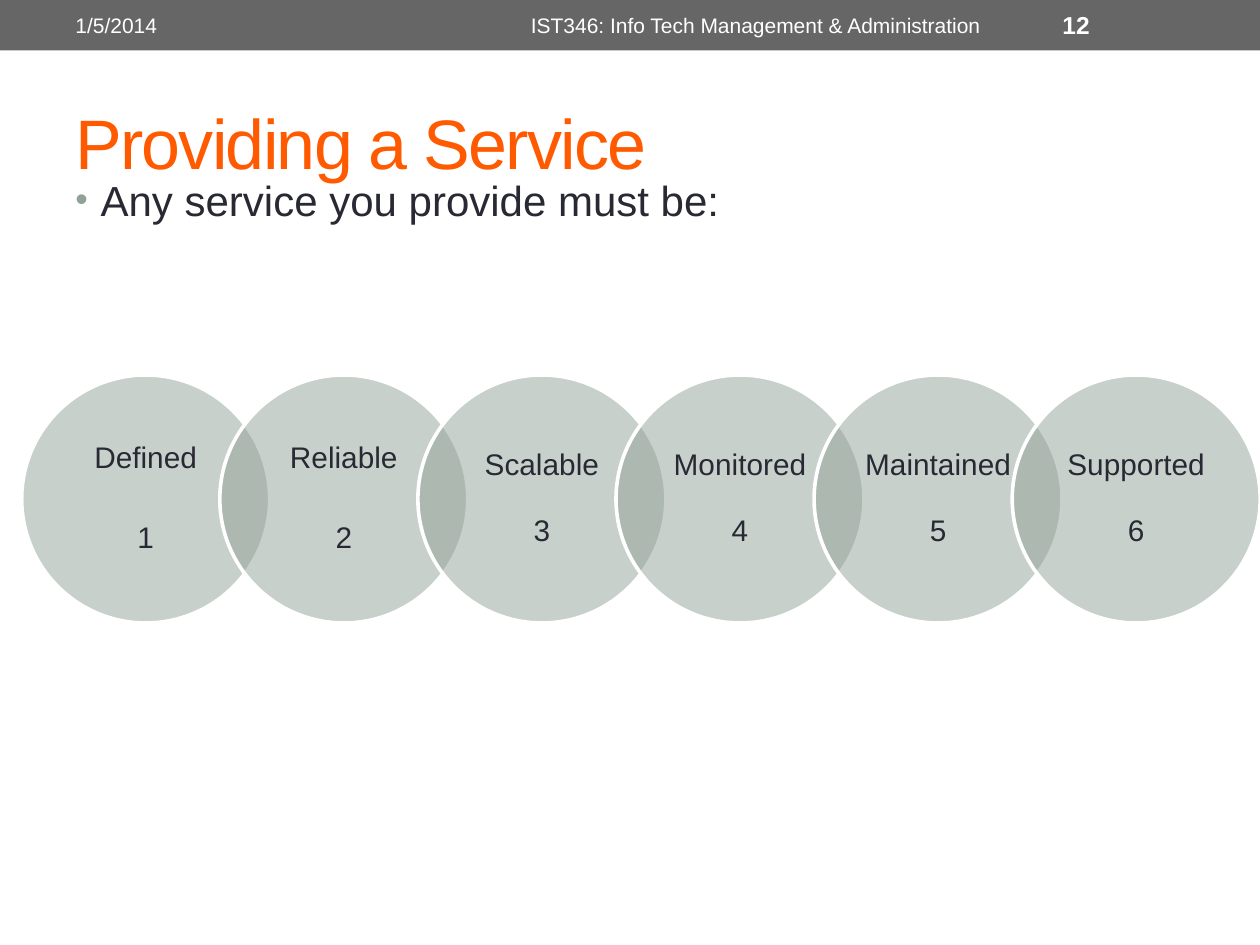
from lxml import etree
from pptx import Presentation
from pptx.dml.color import RGBColor
from pptx.enum import shapes, text
from pptx.oxml.ns import qn
from pptx.util import Pt

GREY = RGBColor(0x66, 0x66, 0x66)
ORANGE = RGBColor(0xFF, 0x5A, 0x00)
SAGE = RGBColor(0x93, 0xA2, 0x99)
DARK = RGBColor(0x29, 0x29, 0x34)
WHITE = RGBColor(0xFF, 0xFF, 0xFF)

FONT = "Arial"
CENTER = text.PP_ALIGN.CENTER
MIDDLE = text.MSO_ANCHOR.MIDDLE
TOP = text.MSO_ANCHOR.TOP

# Chain of circles: place, size, distance and inset of the label box
CHAIN_LEFT, CHAIN_TOP = 12.4, 214.3
DIAMETER, PITCH, INSET = 141.7, 113.2, 20.8
# Each quality with the space between its name and its number
QUALITIES = [("Defined", 27), ("Reliable", 27), ("Scalable", 19),
             ("Monitored", 19), ("Maintained", 19), ("Supported", 19)]


def add_run(p, content, size, color, bold=False):
    r = p.add_run()
    r.text = content
    r.font.name = FONT
    r.font.size = Pt(size)
    r.font.color.rgb = color
    r.font.bold = bold
    return r


def add_box(s, left, top, width, height, anchor=MIDDLE):
    box = s.shapes.add_textbox(Pt(left), Pt(top), Pt(width), Pt(height))
    tf = box.text_frame
    tf.word_wrap = True
    tf.vertical_anchor = anchor
    return tf


def add_shape(s, kind, left, top, width, height, color):
    sp = s.shapes.add_shape(kind, Pt(left), Pt(top), Pt(width), Pt(height))
    sp.shadow.inherit = False
    sp.fill.solid()
    sp.fill.fore_color.rgb = color
    sp.line.fill.background()
    return sp


def add_header_text(s, left, width, content, size=12, bold=False, align=None):
    p = add_box(s, left, 1.4, width, 26).paragraphs[0]
    p.alignment = align
    add_run(p, content, size, WHITE, bold)


def add_bullet(p, char, color, percent):
    pPr = p._p.get_or_add_pPr()
    pPr.set("marL", str(Pt(14.4)))
    pPr.set("indent", str(-Pt(14.4)))
    clr = etree.SubElement(pPr, qn("a:buClr"))
    etree.SubElement(clr, qn("a:srgbClr"), val=str(color))
    etree.SubElement(pPr, qn("a:buSzPct"), val=str(percent * 1000))
    etree.SubElement(pPr, qn("a:buFont"), typeface=FONT)
    etree.SubElement(pPr, qn("a:buChar"), char=char)


def add_link(s, number, name, gap):
    left = CHAIN_LEFT + (number - 1) * PITCH
    sp = add_shape(s, shapes.MSO_SHAPE.OVAL, left, CHAIN_TOP, DIAMETER, DIAMETER, SAGE)
    sp.line.color.rgb = WHITE
    sp.line.width = Pt(2.08)
    # Half-transparent fill, so that overlaps show darker
    clr = sp._element.spPr.find(qn("a:solidFill")).find(qn("a:srgbClr"))
    etree.SubElement(clr, qn("a:alpha"), val="50000")

    side = DIAMETER - 2 * INSET
    tf = add_box(s, left + INSET, CHAIN_TOP + INSET, side, side)
    tf.margin_left = tf.margin_right = Pt(7.8)
    tf.margin_top = tf.margin_bottom = Pt(1.6)
    for p, content in ((tf.paragraphs[0], name), (tf.add_paragraph(), str(number))):
        p.alignment = CENTER
        p.line_spacing = 0.9
        add_run(p, content, 17, DARK)
    tf.paragraphs[0].space_after = Pt(gap)


def main():
    prs = Presentation()
    prs.slide_width, prs.slide_height = Pt(720), Pt(540)
    s = prs.slides.add_slide(prs.slide_layouts[6])

    # Header bar
    add_shape(s, shapes.MSO_SHAPE.RECTANGLE, 0, 0, 720, 28.8, GREY)

    # Title
    p = add_box(s, 36, 42, 648, 78).paragraphs[0]
    r = add_run(p, "Providing a Service", 40, ORANGE)
    r.font._element.set("spc", "-100")

    # Lead-in
    p = add_box(s, 36, 96, 648, 48, TOP).paragraphs[0]
    p.space_before = Pt(4.8)
    add_bullet(p, "•", SAGE, 85)
    add_run(p, "Any service you provide must be:", 24, DARK)

    # Chain of qualities
    for number, (name, gap) in enumerate(QUALITIES, 1):
        add_link(s, number, name, gap)

    # Date, course and slide number
    add_header_text(s, 36, 228, "1/5/2014")
    add_header_text(s, 270, 324, "IST346: Info Tech Management & Administration", align=CENTER)
    add_header_text(s, 600, 84, "12", size=14, bold=True)

    prs.save("out.pptx")


if __name__ == "__main__":
    main()
